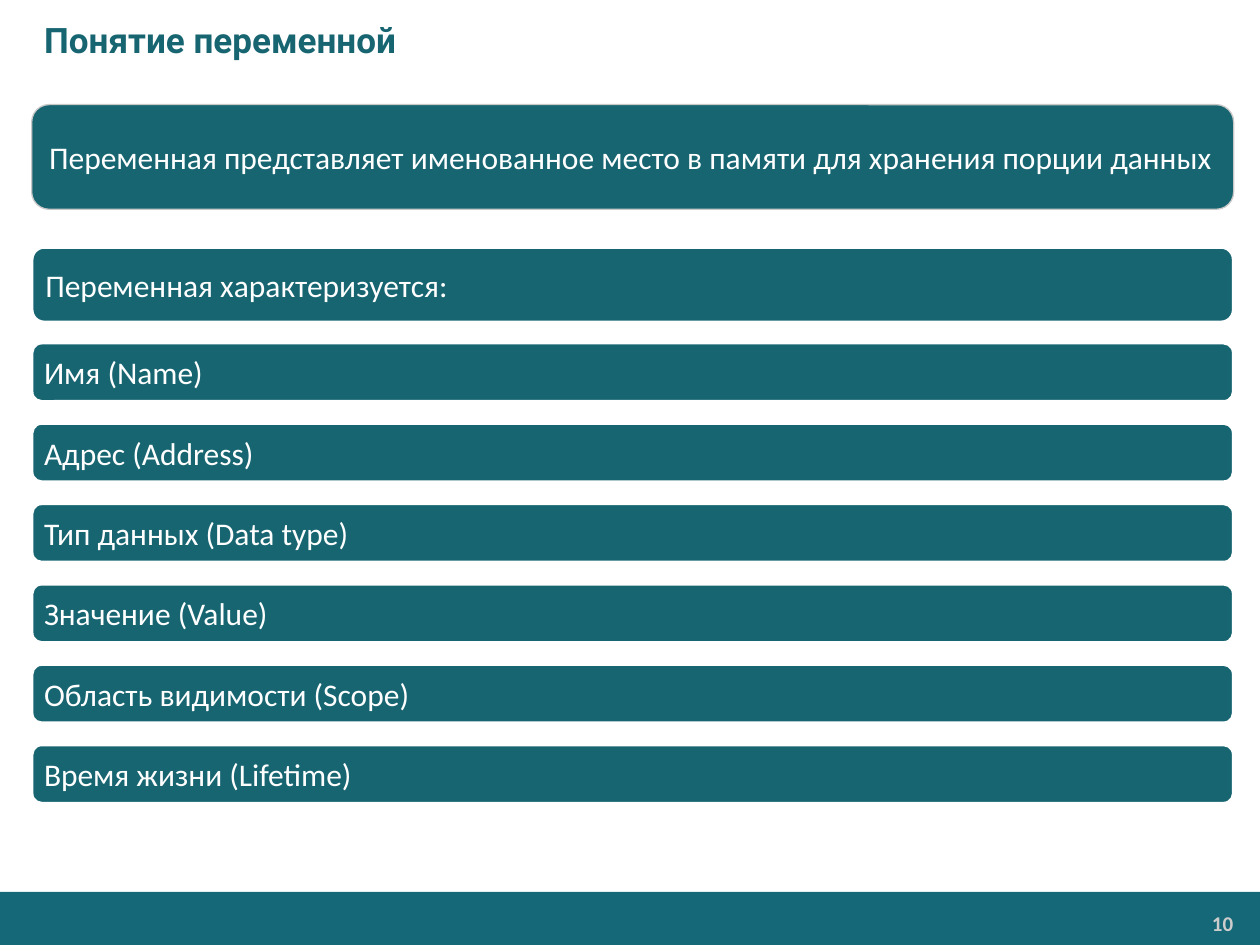
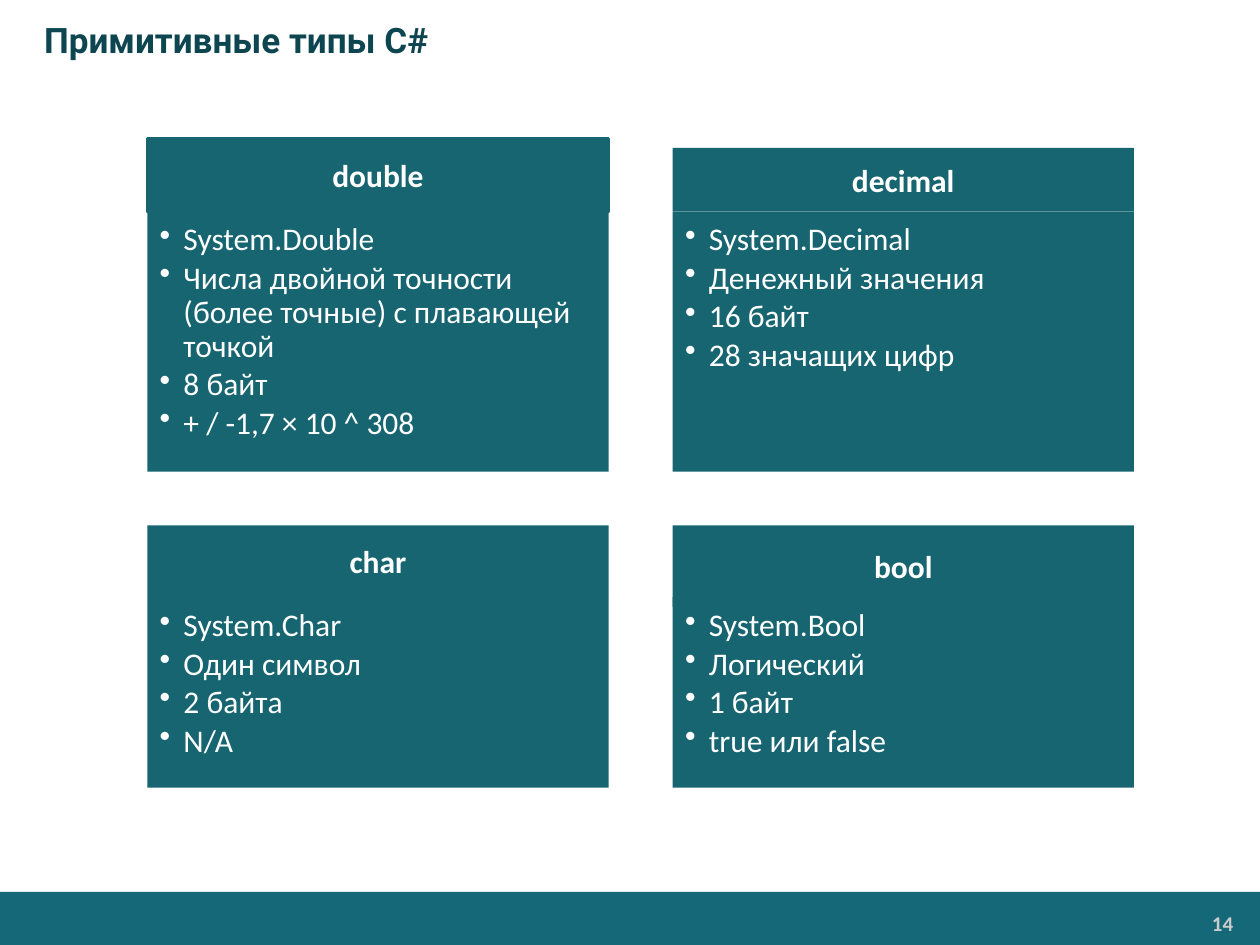
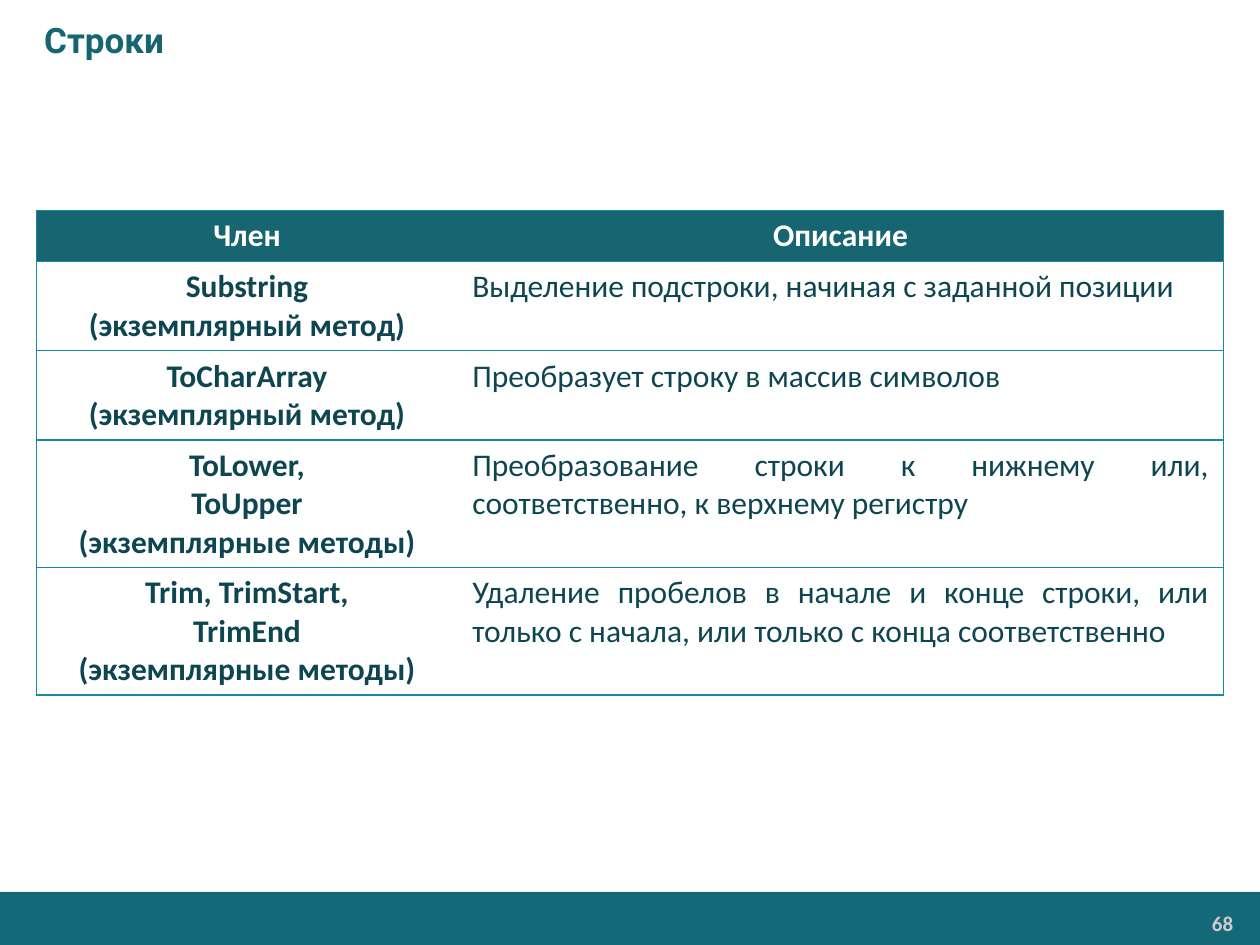
from lxml import etree
from pptx import Presentation
from pptx import util as u
from pptx.dml.color import RGBColor
from pptx.enum import shapes, text
from pptx.oxml import ns

TEAL = "176571"
DARK_TEAL = "0D4650"
BAND = "146878"
GRID = "178AA0"
WHITE = "FFFFFF"
PALE_GRAY = "C8C8C8"
NUMBER_GRAY = "CCCCCC"
BODY_FONT = "Calibri"
TITLE_FONT = "Roboto"

ALIGN = text.PP_ALIGN
ANCHOR = text.MSO_ANCHOR
RECTANGLE = shapes.MSO_SHAPE.RECTANGLE
ROUNDED = shapes.MSO_SHAPE.ROUNDED_RECTANGLE

CHARACTERISTICS = [
    "Имя (Name)",
    "Адрес (Address)",
    "Тип данных (Data type)",
    "Значение (Value)",
    "Область видимости (Scope)",
    "Время жизни (Lifetime)",
]

STRING_MEMBERS = [
    (["Substring", "(экземплярный метод)"],
     "Выделение подстроки, начиная с заданной позиции"),
    (["ToCharArray", "(экземплярный метод)"],
     "Преобразует строку в массив символов"),
    (["ToLower,", "ToUpper", "(экземплярные методы)"],
     "Преобразование строки к нижнему или, соответственно, к верхнему регистру"),
    (["Trim, TrimStart,", "TrimEnd", "(экземплярные методы)"],
     "Удаление пробелов в начале и конце строки, или только с начала, "
     "или только с конца соответственно"),
]


def color(hex_string):
    return RGBColor.from_string(hex_string)


def add_run(paragraph, content, size=18, hex_color=WHITE, bold=False, font=BODY_FONT):
    run = paragraph.add_run()
    run.text = content
    run.font.size = u.Pt(size)
    run.font.name = font
    run.font.bold = bold
    run.font.color.rgb = color(hex_color)


def add_paragraphs(frame, lines, align=ALIGN.LEFT, **run_style):
    """Write one paragraph per line and return the paragraphs."""
    for index, line in enumerate(lines):
        paragraph = frame.add_paragraph() if index else frame.paragraphs[0]
        paragraph.alignment = align
        add_run(paragraph, line, **run_style)
    return frame.paragraphs


def set_frame(frame, margins, anchor):
    """Margins are left, top, right, bottom in centimetres."""
    frame.word_wrap = True
    frame.vertical_anchor = anchor
    (frame.margin_left, frame.margin_top,
     frame.margin_right, frame.margin_bottom) = map(u.Cm, margins)


def add_box(slide, kind, box, fill=TEAL, line=None, line_width=2,
            margins=(0.25, 0.13, 0.25, 0.13), anchor=ANCHOR.MIDDLE):
    shape = slide.shapes.add_shape(kind, *map(u.Cm, box))
    shape.shadow.inherit = False
    shape.fill.solid()
    shape.fill.fore_color.rgb = color(fill)
    if line:
        shape.line.color.rgb = color(line)
        shape.line.width = u.Pt(line_width)
    else:
        shape.line.fill.background()
    set_frame(shape.text_frame, margins, anchor)
    return shape


def add_label(slide, box, content, margins, anchor, align=ALIGN.LEFT, **run_style):
    label = slide.shapes.add_textbox(*map(u.Cm, box))
    set_frame(label.text_frame, margins, anchor)
    add_paragraphs(label.text_frame, [content], align, **run_style)


def add_slide(presentation, title, number, title_color=TEAL):
    """Add a slide with its footer band, page number and title."""
    slide = presentation.slides.add_slide(presentation.slide_layouts[6])
    add_box(slide, RECTANGLE, (0, 17.98, 25.4, 1.07), BAND)
    add_label(slide, (20.9, 18.26, 4.14, 0.71), str(number), (0.18, 0.1, 0.18, 0.1),
              ANCHOR.TOP, ALIGN.RIGHT, size=12, hex_color=NUMBER_GRAY, bold=True)
    add_label(slide, (0, 0, 25.4, 1.6), title, (0.89, 0.13, 0.25, 0.13),
              ANCHOR.MIDDLE, size=20, hex_color=title_color, bold=True, font=TITLE_FONT)
    return slide


def add_bar(slide, top, height, content, margin):
    bar = add_box(slide, ROUNDED, (0.64, top, 24.23, height), line=WHITE,
                  margins=(margin,) * 4)
    add_paragraphs(bar.text_frame, [content])


def add_bullet(paragraph):
    properties = paragraph._p.get_or_add_pPr()
    properties.set("marL", str(u.Cm(0.48)))
    properties.set("indent", str(-u.Cm(0.48)))
    etree.SubElement(properties, ns.qn("a:buChar"), char="•")
    paragraph.line_spacing = 0.9
    paragraph.space_after = u.Pt(2.5)


def add_type_card(slide, left, heading_top, heading_height, body_top, body_height,
                  name, facts, outline=None):
    width = 9.3
    body = add_box(slide, RECTANGLE, (left, body_top, width, body_height),
                   margins=(0.25, 0.25, 0.36, 0.41), anchor=ANCHOR.TOP)
    for paragraph in add_paragraphs(body.text_frame, facts):
        add_bullet(paragraph)
    heading = add_box(slide, RECTANGLE, (left, heading_top, width, heading_height),
                      line=outline, margins=(0.36, 0.2, 0.36, 0.2))
    add_paragraphs(heading.text_frame, [name], ALIGN.CENTER, bold=True)


def set_borders(cell, hidden_side):
    """Draw thin lines on every side but the hidden one."""
    properties = cell._tc.get_or_add_tcPr()
    for side in ("lnL", "lnR", "lnT", "lnB"):
        line = etree.SubElement(properties, ns.qn("a:" + side), w=str(u.Pt(0.75)))
        if side == hidden_side:
            etree.SubElement(line, ns.qn("a:noFill"))
        else:
            fill = etree.SubElement(line, ns.qn("a:solidFill"))
            etree.SubElement(fill, ns.qn("a:srgbClr"), val=GRID)


def fill_cell(cell, lines, align, hidden_side, fill=None, **run_style):
    cell.margin_left = cell.margin_right = u.Cm(0.3)
    cell.margin_top = cell.margin_bottom = u.Cm(0.13)
    set_borders(cell, hidden_side)
    if fill:
        cell.fill.solid()
        cell.fill.fore_color.rgb = color(fill)
    else:
        cell.fill.background()
    add_paragraphs(cell.text_frame, lines, align, **run_style)


def add_member_table(slide, members):
    line_counts = [1] + [len(names) for names, _ in members]
    heights = [0.26 + 0.77 * count for count in line_counts]
    frame = slide.shapes.add_table(len(heights), 2, u.Cm(0.74), u.Cm(4.24),
                                   u.Cm(23.93), u.Cm(sum(heights)))
    table = frame.table
    table.first_row = table.horz_banding = False
    for column, width in zip(table.columns, (8.48, 15.45)):
        column.width = u.Cm(width)
    for row, height in zip(table.rows, heights):
        row.height = u.Cm(height)
    for column, (caption, side) in enumerate([("Член", "lnR"), ("Описание", "lnL")]):
        fill_cell(table.cell(0, column), [caption], ALIGN.CENTER, side, TEAL, bold=True)
    for row, (names, description) in enumerate(members, 1):
        fill_cell(table.cell(row, 0), names, ALIGN.CENTER, "lnR",
                  hex_color=DARK_TEAL, bold=True)
        fill_cell(table.cell(row, 1), [description], ALIGN.JUSTIFY, "lnL",
                  hex_color=DARK_TEAL)


def build_variable_slide(presentation):
    slide = add_slide(presentation, "Понятие переменной", 10)
    definition = add_box(slide, ROUNDED, (0.64, 2.11, 24.23, 2.11),
                         line=PALE_GRAY, line_width=0.75)
    add_paragraphs(
        definition.text_frame,
        ["Переменная представляет именованное место в памяти для хранения порции данных"],
        ALIGN.JUSTIFY)
    add_bar(slide, 4.98, 1.52, "Переменная характеризуется:", 0.2)
    for index, characteristic in enumerate(CHARACTERISTICS):
        add_bar(slide, 6.91 + 1.62 * index, 1.19, characteristic, 0.19)


def build_types_slide(presentation):
    slide = add_slide(presentation, "Примитивные типы C#", 14, DARK_TEAL)
    left, right = 2.97, 13.56
    upper_body = (4.26, 5.25)
    lower_body = (12.04, 3.84)
    add_type_card(slide, left, 2.79, 1.47, *upper_body, "double",
                  ["System.Double",
                   "Числа двойной точности (более точные) с плавающей точкой",
                   "8 байт", "+ / -1,7 × 10 ^ 308"], outline=TEAL)
    add_type_card(slide, right, 2.98, 1.28, *upper_body, "decimal",
                  ["System.Decimal", "Денежный значения", "16 байт", "28 значащих цифр"])
    add_type_card(slide, left, 10.59, 1.45, *lower_body, "char",
                  ["System.Char", "Один символ", "2 байта", "N/A"])
    add_type_card(slide, right, 10.59, 1.65, *lower_body, "bool",
                  ["System.Bool", "Логический", "1 байт", "true или false"])


def build_strings_slide(presentation):
    slide = add_slide(presentation, "Строки", 68)
    add_member_table(slide, STRING_MEMBERS)


def main():
    presentation = Presentation()
    presentation.slide_width = u.Cm(25.4)
    presentation.slide_height = u.Cm(19.05)
    build_variable_slide(presentation)
    build_types_slide(presentation)
    build_strings_slide(presentation)
    presentation.save("out.pptx")


if __name__ == "__main__":
    main()
